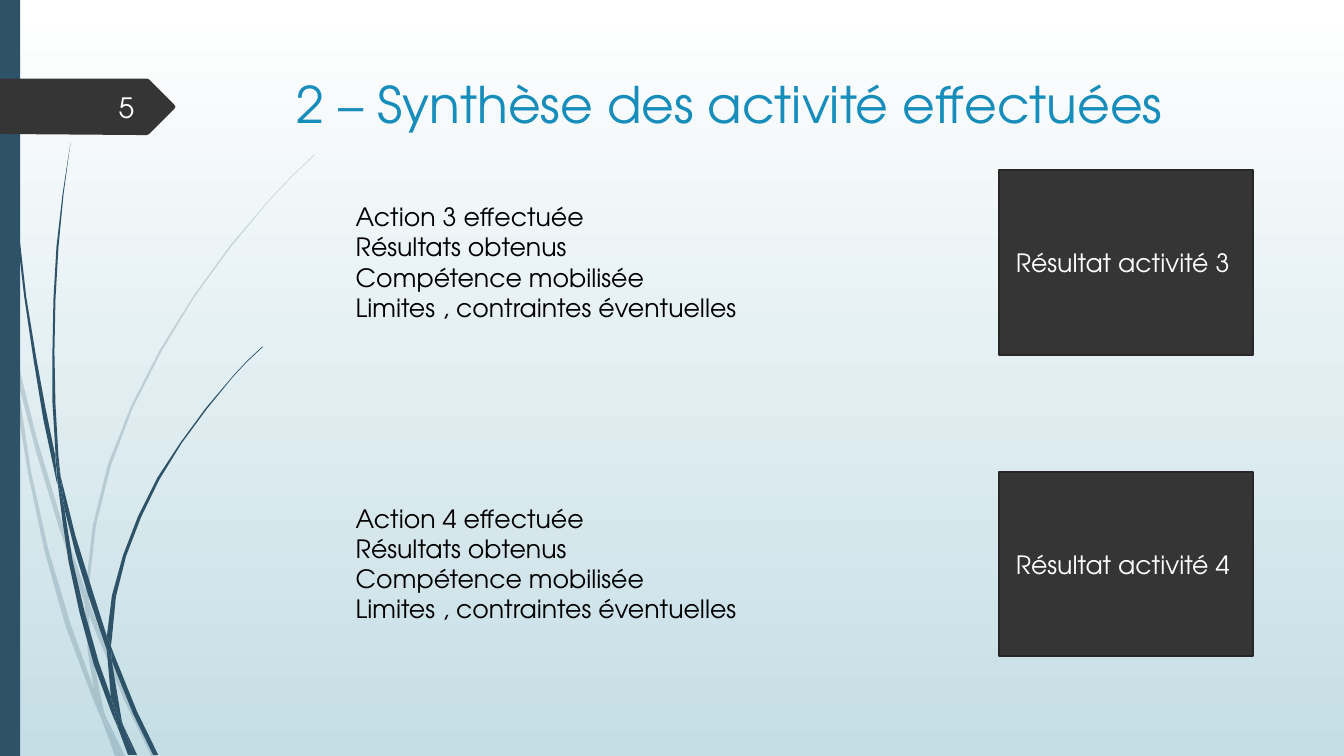
from dataclasses import dataclass

from lxml import etree
from pptx import Presentation
from pptx.dml import color
from pptx.enum import shapes, text
from pptx.oxml import ns
from pptx.util import Inches, Pt


def rgb(code: str) -> color.RGBColor:
    return color.RGBColor.from_string(code)


@dataclass(frozen=True)
class Theme:
    font: str = "TeX Gyre Adventor"
    top: str = "FFFFFF"
    base: str = "C5DEE5"
    stem: str = "2E5369"
    dark: str = "353535"
    edge: str = "272727"
    head: str = "178DBB"
    ink: str = "000000"
    light: str = "FFFFFF"
    page: str = "FEFFFF"
    big: int = 36
    mid: int = 20
    small: int = 18


@dataclass(frozen=True)
class Box:
    left: float
    top: float
    width: float
    height: float

    def lengths(self) -> list:
        return [Inches(v) for v in (self.left, self.top, self.width, self.height)]


@dataclass(frozen=True)
class Plant:
    alpha: int  # opacity in percent
    blades: tuple[str, ...]  # x y pairs in inches


@dataclass(frozen=True)
class Item:
    num: int
    text_top: float
    card_top: float


THEME = Theme()

# Decorative grass: each blade is a closed outline
PALE = Plant(20, (
    "0.58 5.22 0.84 5.99 0.85 5.86 0.62 5.2 0.36 4.33 0.14 3.45 0.17 3.76 0.36 4.49",
    "0.92 6.07 0.88 5.96 0.88 6.1 1.23 6.94 1.5 7.5 1.55 7.5 1.27 6.92",
    "1.19 7.5 1.24 7.5 1.05 7.11",
    "0.93 6.83 0.7 6.19 0.48 5.45 0.31 4.69 0.24 4.23 0.17 3.76 0.11 3.5 "
    "0.18 4.1 0.28 4.7 0.44 5.46 0.65 6.21 0.92 6.93 1.01 7.14 0.99 7.07",
    "0.84 5.99 0.87 6.46 0.93 6.83 0.96 6.92 1.05 7.11 1.03 7.06 0.91 6.46 "
    "0.88 6.1 0.88 6.08",
    "0.88 5.84 0.95 5.22 1.1 4.62 1.32 4.04 1.6 3.49 1.92 2.96 2.29 2.45 "
    "2.68 1.98 2.9 1.75 3.12 1.54 3.12 1.53 2.89 1.75 2.68 1.97 2.28 2.44 "
    "1.91 2.95 1.58 3.48 1.3 4.03 1.07 4.61 0.92 5.22 0.85 5.84 0.85 5.86 0.88 5.96",
    "1.01 7.14 1.14 7.5 1.19 7.5",
    "0.88 6.08 0.88 6.1 0.88 5.96 0.85 5.86 0.84 5.99",
    "0.96 6.92 0.93 6.83 0.99 7.07 1.01 7.14 1.19 7.5 1.05 7.11",
))
DEEP = Plant(100, (
    "0.07 1.1 0.11 1.72 0.17 2.33 0.24 2.94 0.33 3.55 0.43 4.16 0.56 4.77 "
    "0.57 4.81 0.55 4.57 0.55 4.53 0.45 4.04 0.36 3.55 0.26 2.94 0.19 2.32 "
    "0.12 1.71 0.08 1.09 0.05 0.48 0.04 0 0.03 0 0.04 0.48",
    "0.88 5.92 1.06 6.45 1.06 6.33 1.06 6.31 0.93 5.9 0.75 5.32 0.6 4.72 "
    "0.64 5.05 0.75 5.49",
    "1.13 6.49 1.1 6.41 1.11 6.56 1.32 7.08 1.52 7.49 1.57 7.49 1.36 7.06",
    "1.1 6.91 0.98 6.57 0.84 6.07 0.72 5.56 0.64 5.05 0.57 4.77 0.62 5.17 "
    "0.68 5.57 0.79 6.08 0.93 6.59 1.11 7.08 1.17 7.22 1.16 7.17",
    "0.6 4.72 0.58 4.53 0.55 4.01 0.54 3.49 0.55 2.97 0.58 2.45 0.63 1.93 "
    "0.7 1.41 0.62 1.93 0.56 2.45 0.53 2.97 0.52 3.49 0.52 3.99 0.55 4.49",
    "1.33 7.49 1.36 7.49 1.22 7.19",
    "0.57 4.77 0.64 5.05 0.6 4.72 0.55 4.49 0.55 4.53",
    "1.11 6.33 1.15 5.92 1.25 5.52 1.4 5.13 1.58 4.76 1.8 4.4 2.05 4.06 "
    "2.31 3.74 2.45 3.59 2.61 3.44 2.6 3.44 2.45 3.58 2.31 3.73 2.04 4.05 "
    "1.79 4.39 1.56 4.74 1.37 5.12 1.22 5.51 1.11 5.91 1.06 6.31 1.1 6.41",
    "1.17 7.22 1.27 7.49 1.31 7.49",
    "1.06 6.45 1.1 6.91 1.16 7.06 1.22 7.19 1.21 7.16 1.11 6.56 1.09 6.51",
    "1.06 6.45 1.09 6.51 1.11 6.56 1.1 6.41 1.06 6.31 1.06 6.33",
    "1.16 7.06 1.1 6.91 1.16 7.17 1.17 7.22 1.3 7.49 1.33 7.49 1.22 7.19",
))
TAG = ("0 0.78 1.46 0.78 1.48 0.79 1.73 1.04 1.74 1.06 1.73 1.08 "
       "1.48 1.33 1.46 1.34 1.36 1.34 0 1.33")

ITEMS = (Item(3, 1.95, 1.69), Item(4, 4.94, 4.68))
LINES = ("Résultats obtenus", "Compétence mobilisée", "Limites , contraintes éventuelles")


def paint(shape, fill: str, line: str | None = None, alpha: int = 100) -> None:
    shape.shadow.inherit = False
    shape.fill.solid()
    shape.fill.fore_color.rgb = rgb(fill)
    if line:
        shape.line.color.rgb = rgb(line)
        shape.line.width = Pt(1.25)
    else:
        shape.line.fill.background()
    if alpha < 100:
        tone = shape.element.spPr.find(".//" + ns.qn("a:srgbClr"))
        etree.SubElement(tone, ns.qn("a:alpha"), val=str(alpha * 1000))


def outline(tree, coords: str, fill: str, alpha: int = 100) -> None:
    nums = [Inches(float(n)) for n in coords.split()]
    first, *rest = zip(nums[::2], nums[1::2])
    pen = tree.build_freeform(*first)
    pen.add_line_segments(rest, close=True)
    paint(pen.convert_to_shape(), fill, alpha=alpha)


def write(shape, *lines: str, size: int, tint: str, wrap: bool = True,
          align=text.PP_ALIGN.LEFT, anchor=text.MSO_ANCHOR.TOP,
          inset: float = 0.05) -> None:
    frame = shape.text_frame
    frame.word_wrap = wrap
    frame.vertical_anchor = anchor
    frame.margin_top = frame.margin_bottom = Inches(inset)
    if not wrap:
        frame.auto_size = text.MSO_AUTO_SIZE.SHAPE_TO_FIT_TEXT
    frame.text = "\n".join(lines)
    for para in frame.paragraphs:
        para.alignment = align
        for run in para.runs:
            run.font.name = THEME.font
            run.font.size = Pt(size)
            run.font.color.rgb = rgb(tint)


def block(tree, box: Box, fill: str, line: str | None = None):
    shape = tree.add_shape(shapes.MSO_SHAPE.RECTANGLE, *box.lengths())
    paint(shape, fill, line)
    return shape


def main() -> None:
    deck = Presentation()
    deck.slide_width, deck.slide_height = Inches(13.33), Inches(7.5)
    slide = deck.slides.add_slide(deck.slide_layouts[6])
    tree = slide.shapes

    # Background gradient, top to bottom
    back = slide.background.fill
    back.gradient()
    back.gradient_angle = 270
    for stop, tint in zip(back.gradient_stops, (THEME.top, THEME.base)):
        stop.color.rgb = rgb(tint)

    # Grass, side bar and page tag
    for plant in (PALE, DEEP):
        group = tree.add_group_shape()
        for blade in plant.blades:
            outline(group.shapes, blade, THEME.stem, plant.alpha)
    block(tree, Box(0, 0, 0.2, 7.5), THEME.stem)
    outline(tree, TAG, THEME.dark)

    # Title and page number
    write(tree.add_textbox(*Box(2.84, 0.68, 9.75, 1.4).lengths()),
          "2 – Synthèse des activité effectuées", size=THEME.big, tint=THEME.head)
    write(tree.add_textbox(*Box(0.58, 0.86, 0.85, 0.4).lengths()), "5",
          size=THEME.mid, tint=THEME.page, align=text.PP_ALIGN.RIGHT,
          anchor=text.MSO_ANCHOR.MIDDLE, inset=0)

    # Activities with their result cards
    for item in ITEMS:
        write(tree.add_textbox(*Box(3.43, item.text_top, 4.05, 1.31).lengths()),
              f"Action {item.num} effectuée", *LINES,
              size=THEME.small, tint=THEME.ink, wrap=False)
        card = block(tree, Box(9.91, item.card_top, 2.52, 1.83), THEME.dark, THEME.edge)
        write(card, f"Résultat activité {item.num} ", size=THEME.small,
              tint=THEME.light, align=text.PP_ALIGN.CENTER,
              anchor=text.MSO_ANCHOR.MIDDLE)

    deck.save("out.pptx")


if __name__ == "__main__":
    main()
